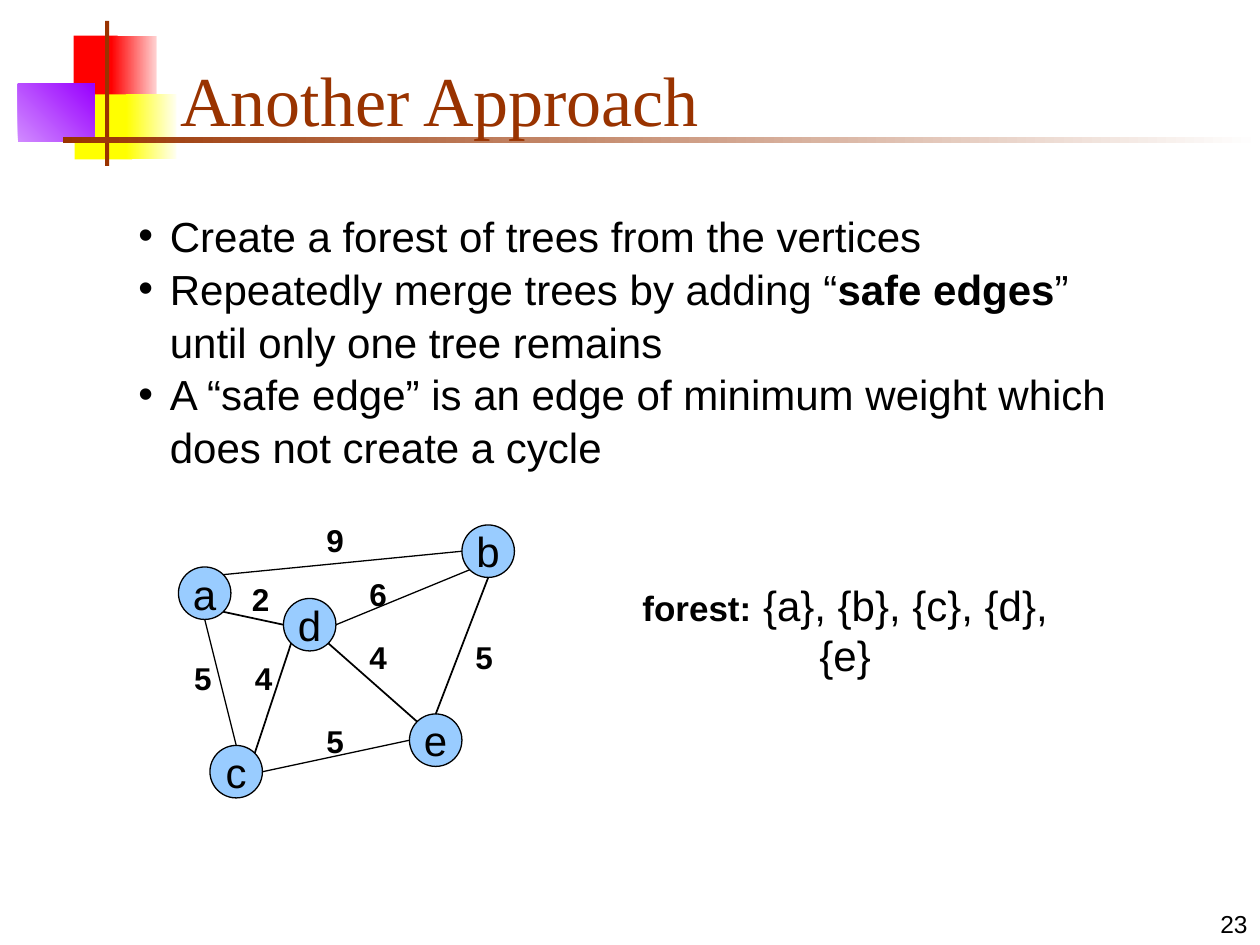
from math import cos, radians, sin
from lxml.etree import SubElement
from pptx import Presentation
from pptx.dml.color import RGBColor
from pptx.enum.shapes import MSO_CONNECTOR, MSO_SHAPE
from pptx.enum.text import MSO_ANCHOR, PP_ALIGN
from pptx.oxml.ns import qn
from pptx.util import Inches, Pt

COLS, ROWS = 120, 90
CELL = Inches(10) / COLS
NODE = 5
COLORS = {
    "red": "FF0000", "pink": "FFD1D1", "yellow": "FFFF00", "cream": "FFFFF0",
    "lilac": "D18BFF", "purple": "9900FF", "brown": "993300",
    "white": "FFFFFF", "black": "000000", "node": "99CCFF",
}
BLOCKS = [
    (7, 3.4, 4.2, 6.2, ["red"], 0),
    (10.6, 3.4, 4.3, 6.2, ["red", "pink"], 0),
    (7.1, 9, 5.5, 6.2, ["yellow"], 0),
    (12, 9, 4.8, 6.2, ["yellow", "cream"], 0),
    (1.7, 8, 7.3, 5.5, ["lilac", "purple"], 45),
    (10, 2, 0.4, 13.8, ["brown"], 0),
    (6, 13, 114, 0.6, ["brown", "white"], 0),
]
NODES = {"a": (0, 4), "c": (3, 21), "e": (22, 18), "d": (10, 7), "b": (27, 0)}
EDGES = [
    ("a", 45, "b", 180, 0.75), ("d", 0, "b", 225, 0.75),
    ("a", 270, "c", 90, 0.75), ("a", 315, "d", 180, 1),
    ("c", 45, "d", 225, 1), ("d", 315, "e", 135, 1),
    ("b", 270, "e", 90, 1), ("e", 180, "c", 0, 0.75),
]
WEIGHTS = [
    ("2", 7.8, 7.1), ("4", 8.1, 14.6), ("5", 2.3, 14.6), ("9", 14.9, 1.4),
    ("6", 19, 6.6), ("4", 19, 12.6), ("5", 14.9, 20.6), ("5", 29.1, 12.6),
]
BULLETS = [
    [("Create a forest of trees from the vertices", False)],
    [("Repeatedly merge trees by adding “", False), ("safe edges", True),
     ("” until only one tree remains", False)],
    [("A “safe edge” is an edge of minimum weight which does not create a cycle", False)],
]


def rgb(name):
    return RGBColor.from_string(COLORS[name])


def cells(*values):
    return [round(v * CELL) for v in values]


def add_run(p, text, size, bold=False, font="Arial", color="black"):
    r = p.add_run()
    r.text = text
    r.font.size, r.font.bold, r.font.name = Pt(size), bold, font
    r.font.color.rgb = rgb(color)


def add_text(shapes, box, anchor=MSO_ANCHOR.TOP, align=PP_ALIGN.LEFT, wrap=True):
    tf = shapes.add_textbox(*cells(*box)).text_frame
    tf.word_wrap, tf.vertical_anchor = wrap, anchor
    tf.paragraphs[0].alignment = align
    return tf


def add_shape(shapes, kind, box, colors, angle=0):
    sp = shapes.add_shape(kind, *cells(*box))
    sp.shadow.inherit = False
    sp.line.fill.background()
    if len(colors) == 1:
        sp.fill.solid()
        sp.fill.fore_color.rgb = rgb(colors[0])
    else:
        sp.fill.gradient()
        sp.fill.gradient_angle = angle
        for i, (stop, name) in enumerate(zip(sp.fill.gradient_stops, colors)):
            stop.position = i
            stop.color.rgb = rgb(name)
    return sp


def add_header(shapes, left, top):
    for x, y, w, h, colors, angle in BLOCKS:
        add_shape(shapes, MSO_SHAPE.RECTANGLE, (left + x, top + y, w, h), colors, angle)
    tf = add_text(shapes, (left + 16, top + 3, 102, 11), MSO_ANCHOR.BOTTOM)
    add_run(tf.paragraphs[0], "Another Approach", 40, font="Times New Roman", color="brown")


def add_bullets(shapes, box):
    tf = add_text(shapes, box)
    for i, runs in enumerate(BULLETS):
        p = tf.add_paragraph() if i else tf.paragraphs[0]
        p.line_spacing = 1.05
        pPr = p._p.get_or_add_pPr()
        pPr.set("marL", str(Inches(0.25)))
        pPr.set("indent", str(-Inches(0.25)))
        SubElement(pPr, qn("a:buFont")).set("typeface", "Arial")
        SubElement(pPr, qn("a:buChar")).set("char", "•")
        for text, bold in runs:
            add_run(p, text, 24, bold)


def add_graph(shapes, left, top):
    group = shapes.add_group_shape().shapes

    def rim(name, angle):
        x, y = NODES[name]
        a, half = radians(angle), NODE / 2
        return cells(left + x + half * (1 + cos(a)), top + y + half * (1 - sin(a)))

    for name, (x, y) in NODES.items():
        sp = add_shape(group, MSO_SHAPE.OVAL, (left + x, top + y, NODE, NODE), ["node"])
        sp.line.color.rgb, sp.line.width = rgb("black"), Pt(0.75)
        tf = sp.text_frame
        tf.word_wrap, tf.vertical_anchor = False, MSO_ANCHOR.MIDDLE
        tf.paragraphs[0].alignment = PP_ALIGN.CENTER
        add_run(tf.paragraphs[0], name, 24)
    for start, out, end, into, width in EDGES:
        line = group.add_connector(MSO_CONNECTOR.STRAIGHT, *rim(start, out), *rim(end, into))
        line.line.color.rgb, line.line.width = rgb("black"), Pt(width)
        SubElement(line._element.spPr, qn("a:effectLst"))
    for weight, x, y in WEIGHTS:
        tf = add_text(group, (left + x - 2, top + y - 2.4, 4, 4.8), wrap=False)
        add_run(tf.paragraphs[0], weight, 18, True)


def add_forest(shapes, box):
    tf = add_text(shapes, box, MSO_ANCHOR.MIDDLE, PP_ALIGN.CENTER, False)
    add_run(tf.paragraphs[0], "forest:", 20, True)
    add_run(tf.paragraphs[0], " {a}, {b}, {c}, {d}, {e}", 24)


def add_number(shapes, box):
    tf = add_text(shapes, box, MSO_ANCHOR.BOTTOM, PP_ALIGN.RIGHT)
    add_run(tf.paragraphs[0], "23", 14)


def main():
    prs = Presentation()
    prs.slide_width, prs.slide_height = cells(COLS, ROWS)
    shapes = prs.slides.add_slide(prs.slide_layouts[6]).shapes
    add_header(shapes, 0, 0)
    add_number(shapes, (95, 84, 25, 6))
    add_graph(shapes, 17, 50)
    add_bullets(shapes, (12, 19.2, 96, 25))
    add_forest(shapes, (57, 57, 47, 6))
    prs.save("out.pptx")


if __name__ == "__main__":
    main()
